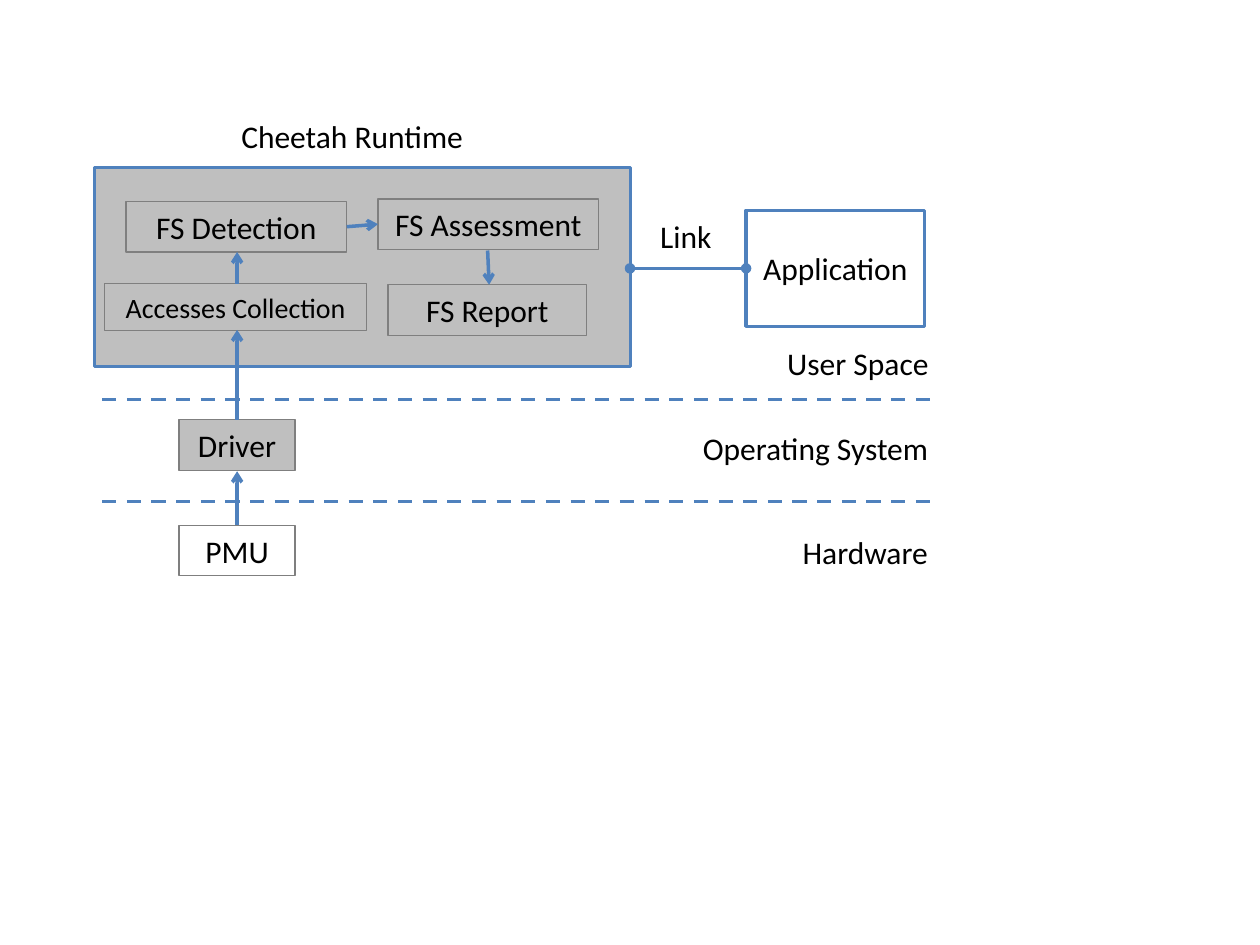
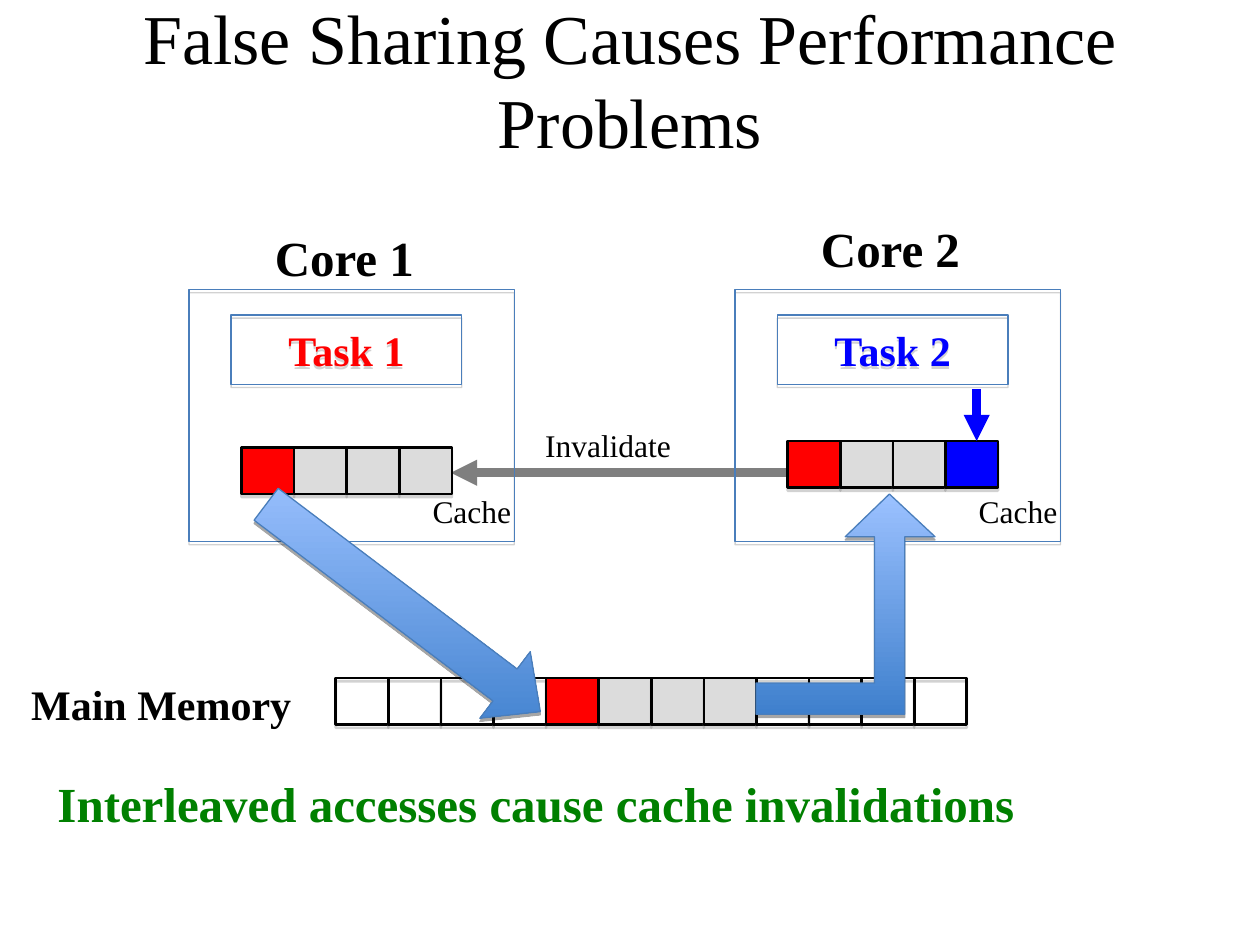
"""Draws the runtime layout and the false sharing slides."""
from dataclasses import dataclass

from pptx import Presentation, util as u
from pptx.dml.color import RGBColor
from pptx.enum import dml, shapes, text
from pptx.oxml import parse_xml
from pptx.oxml.ns import nsdecls, qn

RECT = shapes.MSO_SHAPE.RECTANGLE
MID, TOP = text.MSO_ANCHOR.MIDDLE, text.MSO_ANCHOR.TOP
LEFT, MIDST = text.PP_ALIGN.LEFT, text.PP_ALIGN.CENTER


@dataclass(frozen=True)
class Theme:
    black: str = "000000"
    white: str = "FFFFFF"
    gray: str = "BFBFBF"
    pale: str = "DCDCDC"
    edge: str = "7F7F7F"
    shade: str = "808080"
    blue: str = "4F81BD"
    steel: str = "4A7EBB"
    red: str = "FF0000"
    deep: str = "0000FF"
    green: str = "008000"
    ramp: tuple = ("9BC1FF", "3F80CD")
    sans: str = "Calibri"
    serif: str = "Times New Roman"
    small: int = 16
    body: int = 18
    large: int = 24
    head: int = 28
    title: int = 40
    thin: float = 0.75
    cell: float = 1.5
    line: float = 2
    thick: float = 5


def put(item, **values):
    for name, value in values.items():
        setattr(item, name, value)


def cms(*values):
    return [u.Cm(value) for value in values]


class Deck:
    """Holds the theme and the current slide, and draws each kind of element."""

    def __init__(self, theme):
        self.theme = theme
        self.show = Presentation()
        put(self.show, slide_width=u.Cm(25.4), slide_height=u.Cm(19.05))

    def page(self, face):
        self.face = face
        self.slide = self.show.slides.add_slide(self.show.slide_layouts[6])

    def stroke(self, item, color, width):
        item.line.color.rgb = RGBColor.from_string(color)
        item.line.width = u.Pt(width)

    def shade(self, item, color):
        item.shadow.inherit = False
        if color:
            effect = item._element.spPr.find(qn("a:effectLst"))
            effect.append(parse_xml(
                f'<a:outerShdw {nsdecls("a")} blurRad="0" dist="22860" dir="5400000" '
                f'rotWithShape="0"><a:srgbClr val="{color}"><a:alpha val="35000"/>'
                '</a:srgbClr></a:outerShdw>'))

    def letter(self, item, words, size=None, color=None, bold=False,
               align=LEFT, anchor=TOP, wrap=True, grow=True, pad=(0.25, 0.13)):
        side, top = cms(*pad)
        fit = text.MSO_AUTO_SIZE.SHAPE_TO_FIT_TEXT if grow else text.MSO_AUTO_SIZE.NONE
        frame = item.text_frame
        put(frame, word_wrap=wrap, auto_size=fit, vertical_anchor=anchor,
            margin_left=side, margin_right=side, margin_top=top, margin_bottom=top)
        line = frame.paragraphs[0]
        put(line, text=words, alignment=align)
        font = line.runs[0].font
        put(font, name=self.face, size=u.Pt(size or self.theme.body), bold=bold)
        font.color.rgb = RGBColor.from_string(color or self.theme.black)

    def label(self, words, area, **form):
        self.letter(self.slide.shapes.add_textbox(*cms(*area)), words, **form)

    def box(self, area, fill, edge, width, words="", shade=None, **form):
        item = self.slide.shapes.add_shape(RECT, *cms(*area))
        if fill:
            item.fill.solid()
            item.fill.fore_color.rgb = RGBColor.from_string(fill)
        else:
            item.fill.background()
        self.stroke(item, edge, width)
        self.shade(item, shade)
        if words:
            self.letter(item, words, align=MIDST, **form)

    def row(self, left, top, fills):
        theme = self.theme
        for index, fill in enumerate(fills):
            area = (left + index * 1.06, top, 1.06, 0.94)
            self.box(area, fill, theme.black, theme.cell, shade=theme.shade)

    def line(self, ends, color=None, width=None, head=None, tail=None, dash=False):
        item = self.slide.shapes.add_connector(shapes.MSO_CONNECTOR.STRAIGHT, *cms(*ends))
        self.stroke(item, color or self.theme.blue, width or self.theme.line)
        if dash:
            item.line.dash_style = dml.MSO_LINE.DASH
        props = item._element.spPr
        for tag, kind in (("headEnd", head), ("tailEnd", tail)):
            if kind:
                props.ln.append(parse_xml(f'<a:{tag} {nsdecls("a")} type="{kind}"/>'))
        props.append(parse_xml(f'<a:effectLst {nsdecls("a")}/>'))

    def blend(self, item, angle):
        item.fill.gradient()
        item.fill.gradient_angle = 360 - angle
        for place, (stop, color) in enumerate(zip(item.fill.gradient_stops, self.theme.ramp)):
            stop.position = place
            stop.color.rgb = RGBColor.from_string(color)
        self.stroke(item, self.theme.steel, self.theme.thin)
        self.shade(item, self.theme.black)

    def arrow(self, area, turn, ratios, angle):
        item = self.slide.shapes.add_shape(shapes.MSO_SHAPE.DOWN_ARROW, *cms(*area))
        item.rotation = turn
        for index, ratio in enumerate(ratios):
            item.adjustments[index] = ratio
        self.blend(item, angle)

    def bend(self, points, angle):
        spots = [cms(*point) for point in points]
        route = self.slide.shapes.build_freeform(*spots[0])
        route.add_line_segments(spots[1:], close=True)
        self.blend(route.convert_to_shape(), angle)


def runtime(deck):
    theme = deck.theme
    deck.page(theme.sans)
    for top in (8.05, 10.11):
        deck.line((2.06, top, 18.82, top), dash=True)
    deck.box((1.91, 3.38, 10.8, 4.01), theme.gray, theme.blue, theme.line)
    deck.box((15.04, 4.24, 3.6, 2.34), theme.white, theme.blue, theme.line)
    deck.line((12.7, 5.41, 15.04, 5.41), head="oval", tail="oval")

    for words, area, fill, size in (
            ("Driver", (3.61, 8.46, 2.34, 1.02), theme.gray, theme.body),
            ("Accesses Collection", (2.11, 5.72, 5.28, 0.94), None, theme.small),
            ("FS Detection", (2.54, 4.06, 4.45, 1.02), None, theme.body),
            ("FS Assessment", (7.62, 4.01, 4.45, 1.02), None, theme.body),
            ("FS Report", (7.82, 5.74, 4.01, 1.02), None, theme.body),
            ("PMU", (3.61, 10.59, 2.34, 1.02), None, theme.body)):
        deck.box(area, fill, theme.edge, theme.thin, words, size=size)

    deck.label("Cheetah Runtime", (4.24, 2.11, 5.72, 1.27), align=MIDST, pad=(0.25, 0.25))
    deck.label("Application", (15.04, 4.9, 3.6, 1.02), align=MIDST)
    for words, left, top, width in (
            ("Hardware", 15.93, 10.62, 3.05), ("Operating System", 13.92, 8.51, 5.08),
            ("User Space", 15.62, 6.81, 3.35), ("Link", 13.06, 4.24, 1.55)):
        deck.label(words, (left, top, width, 1.02), wrap=False)

    for ends in ((4.78, 5.72, 4.78, 5.08), (4.78, 10.59, 4.78, 9.5),
                 (4.78, 8.46, 4.78, 6.65), (6.99, 4.57, 7.62, 4.52),
                 (9.83, 5.05, 9.86, 5.74)):
        deck.line(ends, tail="arrow")


def sharing(deck):
    theme = deck.theme
    deck.page(theme.serif)
    red, pale = theme.red, theme.pale
    deck.line((15.88, 9.53, 9.09, 9.53), theme.edge, theme.thick, tail="triangle")
    deck.label("Invalidate", (10.74, 8.46, 3.58, 1.02), wrap=False)

    for index, (left, top, store, color, last) in enumerate((
            (3.81, 4.45, 9.02, red, pale),
            (14.82, 4.27, 8.89, theme.deep, theme.deep)), 1):
        deck.box((left + 0.85, 6.35, 4.65, 1.4), None, theme.steel, theme.thin,
                 f"Task {index}", theme.shade, size=theme.large, color=color,
                 bold=True, anchor=MID, grow=False, pad=(0, 0.13))
        deck.box((left, 5.84, 6.56, 5.08), None, theme.steel, theme.thin, shade=theme.shade)
        deck.row(left + 1.06, store, (red, pale, pale, last))
        deck.label("Cache", (left + 4.66, 9.78, 2.11, 1.78))
        deck.label(f"Core {index}", (left + 1.48, top, 3.66, 1.45),
                   size=theme.head, bold=True, wrap=False)

    deck.row(6.77, 13.67, [None] * 4 + [red] + [pale] * 3 + [None] * 4)
    deck.bend(((15.24, 13.77), (17.63, 13.77), (17.63, 10.82), (17.04, 10.82),
               (17.93, 9.96), (18.85, 10.82), (18.24, 10.82), (18.24, 14.4),
               (15.24, 14.4)), 90)
    deck.arrow((7.29, 8.79, 1.68, 6.93), 307.1, (0.48, 0.53), 143)
    deck.line((19.69, 7.85, 19.69, 8.89), theme.deep, theme.thick, tail="triangle")

    deck.label("Interleaved accesses cause cache invalidations", (0.91, 15.47, 23.83, 1.45),
               size=theme.head, color=theme.green, bold=True, wrap=False)
    deck.label("Main Memory", (0.38, 13.54, 6.48, 1.27),
               size=theme.large, bold=True, wrap=False)
    deck.label("False Sharing Causes Performance Problems", (0, 0, 25.4, 3.18),
               size=theme.title, align=MIDST, anchor=MID, grow=False)


def main():
    deck = Deck(Theme())
    runtime(deck)
    sharing(deck)
    deck.show.save("out.pptx")


if __name__ == "__main__":
    main()
